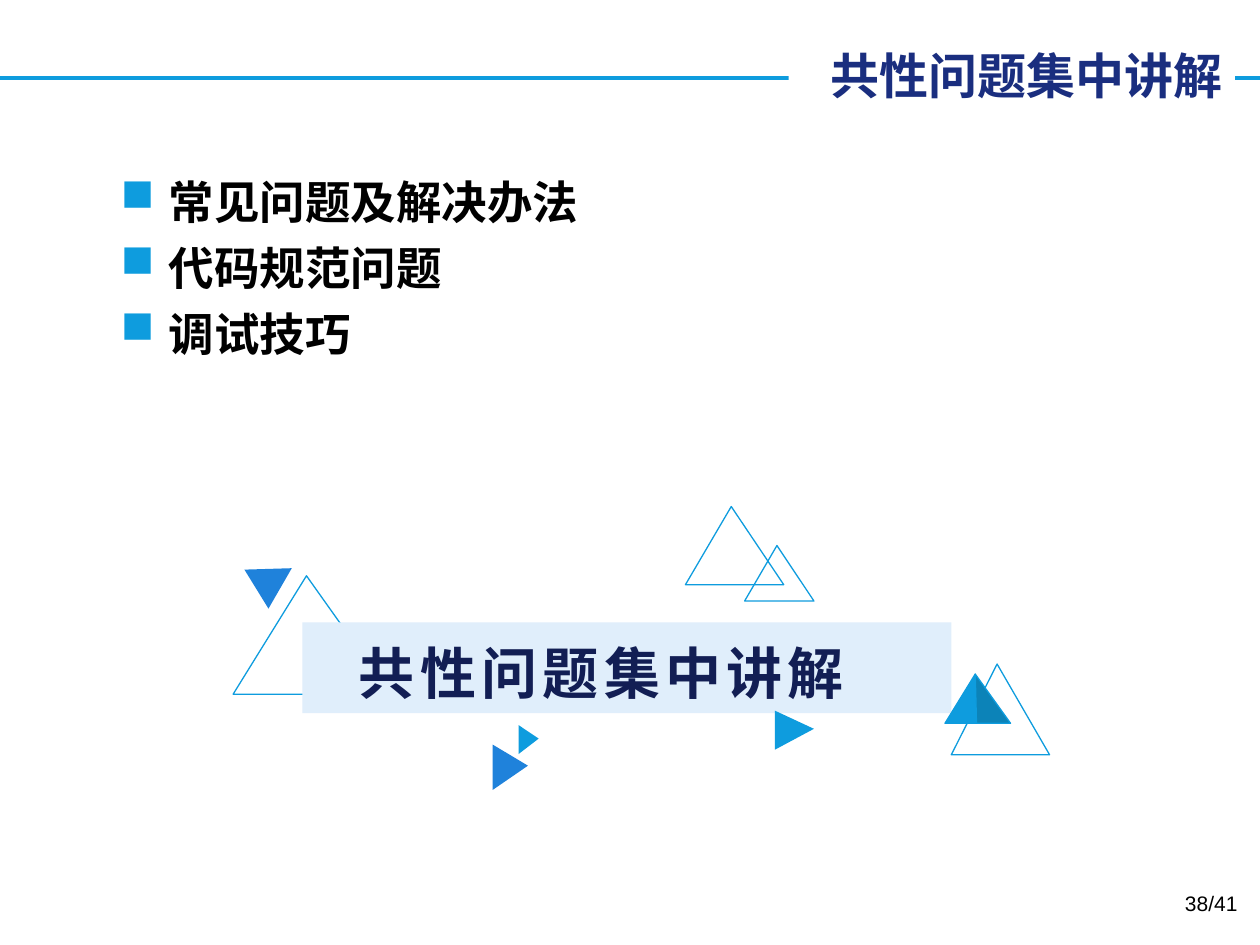
from dataclasses import dataclass

from lxml import etree
from pptx import Presentation
from pptx.dml.color import RGBColor as Rgb
from pptx.enum.shapes import MSO_CONNECTOR as Link, MSO_SHAPE as Kind
from pptx.enum.text import MSO_ANCHOR as Anchor, PP_ALIGN as Align
from pptx.oxml.ns import qn
from pptx.util import Inches, Pt


@dataclass(frozen=True)
class Theme:
    sky: str = "0E9CDE"
    blue: str = "1F82DB"
    deep: str = "0C83B8"
    navy: str = "1A2E7F"
    ink: str = "121E54"
    pale: str = "E0EEFB"
    white: str = "FFFFFF"
    black: str = "000000"
    latin: str = "Arial"
    asian: str = "Noto Sans CJK SC"
    head: int = 28
    body: int = 26
    banner: int = 32
    foot: int = 12
    thin: float = 0.75
    thick: float = 2.25


class Deck:
    def __init__(self, theme):
        self.theme = theme
        self.file = Presentation()
        self.file.slide_width = Inches(10)
        self.file.slide_height = Inches(7.5)
        self.slide = self.file.slides.add_slide(self.file.slide_layouts[5])
        self.shapes = self.slide.shapes

    def style(self, para, size, color, face, bold=True, align=None, gap=0):
        font = para.font
        font.size, font.bold, font.name = Pt(size), bold, face
        font.color.rgb = Rgb.from_string(color)
        para.alignment = align
        props = font._element
        etree.SubElement(props, qn("a:ea")).set("typeface", self.theme.asian)
        if gap:
            props.set("spc", str(gap * 100))

    def paint(self, shape, fill=None, line=None):
        shape.shadow.inherit = False
        if fill:
            shape.fill.solid()
            shape.fill.fore_color.rgb = Rgb.from_string(fill)
        else:
            shape.fill.background()
        if line:
            shape.line.color.rgb = Rgb.from_string(line)
            shape.line.width = Pt(self.theme.thin)
        else:
            shape.line.fill.background()

    def rule(self, y):
        line = self.shapes.add_connector(
            Link.STRAIGHT, 0, Inches(y), self.file.slide_width, Inches(y))
        line.line.color.rgb = Rgb.from_string(self.theme.sky)
        line.line.width = Pt(self.theme.thick)
        etree.SubElement(line._element.spPr, qn("a:effectLst"))

    def title(self, text, box):
        look, shape = self.theme, self.shapes.title
        shape.left, shape.top, shape.width, shape.height = map(Inches, box)
        shape.fill.solid()
        shape.fill.fore_color.rgb = Rgb.from_string(look.white)
        frame = shape.text_frame
        frame.text = text
        frame.word_wrap = True
        frame.vertical_anchor = Anchor.MIDDLE
        self.style(frame.paragraphs[0], look.head, look.navy, look.asian,
                   align=Align.RIGHT)
        self.shapes._spTree.append(shape._element)

    def text(self, box):
        frame = self.shapes.add_textbox(*map(Inches, box)).text_frame
        frame.word_wrap = True
        return frame

    def bullets(self, items, box):
        look, frame = self.theme, self.text(box)
        for i, item in enumerate(items):
            para = frame.add_paragraph() if i else frame.paragraphs[0]
            para.text = item
            para.space_before = Pt(look.body / 4)
            self.style(para, look.body, look.black, look.latin)
            props = para._p.get_or_add_pPr()
            props.set("marL", str(Inches(0.38)))
            props.set("indent", str(-Inches(0.38)))
            tint = etree.Element(qn("a:buClr"))
            etree.SubElement(tint, qn("a:srgbClr")).set("val", look.sky)
            mark = etree.Element(qn("a:buChar"))
            mark.set("char", "■")
            rest = props.find(qn("a:defRPr"))
            rest.addprevious(tint)
            rest.addprevious(mark)

    def banner(self, text, box):
        look = self.theme
        shape = self.shapes.add_shape(Kind.RECTANGLE, *map(Inches, box))
        self.paint(shape, look.pale)
        frame = shape.text_frame
        frame.text = text
        frame.word_wrap = True
        frame.vertical_anchor = Anchor.TOP
        frame.margin_top, frame.margin_right = Inches(0.13), Inches(0.5)
        self.style(frame.paragraphs[0], look.banner, look.ink, look.asian,
                   align=Align.CENTER, gap=3)

    def peak(self, box, fill=None, turn=0):
        shape = self.shapes.add_shape(
            Kind.ISOSCELES_TRIANGLE, *map(Inches, box))
        shape.adjustments[0] = 0.466
        shape.rotation = turn
        self.paint(shape, fill, None if fill else self.theme.sky)

    def facet(self, points, fill):
        spots = [(Inches(x), Inches(y)) for x, y in points]
        path = self.shapes.build_freeform(*spots[0])
        path.add_line_segments(spots[1:], close=True)
        self.paint(path.convert_to_shape(), fill, self.theme.sky)

    def number(self, text, box):
        look, para = self.theme, self.text(box).paragraphs[0]
        para.text = text
        self.style(para, look.foot, look.black, look.latin, False, Align.RIGHT)


def main():
    look = Theme()
    deck = Deck(look)
    topic = "共性问题集中讲解"
    deck.rule(0.62)
    deck.title(topic, (6.26, 0.31, 3.54, 0.57))
    deck.bullets(["常见问题及解决办法", "代码规范问题", "调试技巧"],
                 (0.86, 1.33, 8.36, 5.63))
    for box in [(1.85, 4.57, 1.25, 0.94), (7.55, 5.27, 0.78, 0.72)]:
        deck.peak(box)
    deck.peak((4.08, 5.79, 0.23, 0.16), look.sky, 90)
    deck.peak((1.9, 4.43, 0.37, 0.32), look.blue, 300)
    deck.banner(topic, (2.4, 4.94, 5.15, 0.72))
    for box in [(5.91, 4.33, 0.55, 0.44), (5.44, 4.02, 0.78, 0.62)]:
        deck.peak(box)
    deck.peak((3.87, 5.95, 0.36, 0.28), look.blue, 90)
    deck.peak((6.15, 5.64, 0.31, 0.31), look.sky, 90)
    for x, fill in [(7.5, look.sky), (8.02, look.deep)]:
        deck.facet([(x, 5.74), (7.74, 5.35), (7.75, 5.74)], fill)
    deck.number("38/41", (7.59, 7.02, 2.33, 0.4))
    deck.file.save("out.pptx")


if __name__ == "__main__":
    main()
